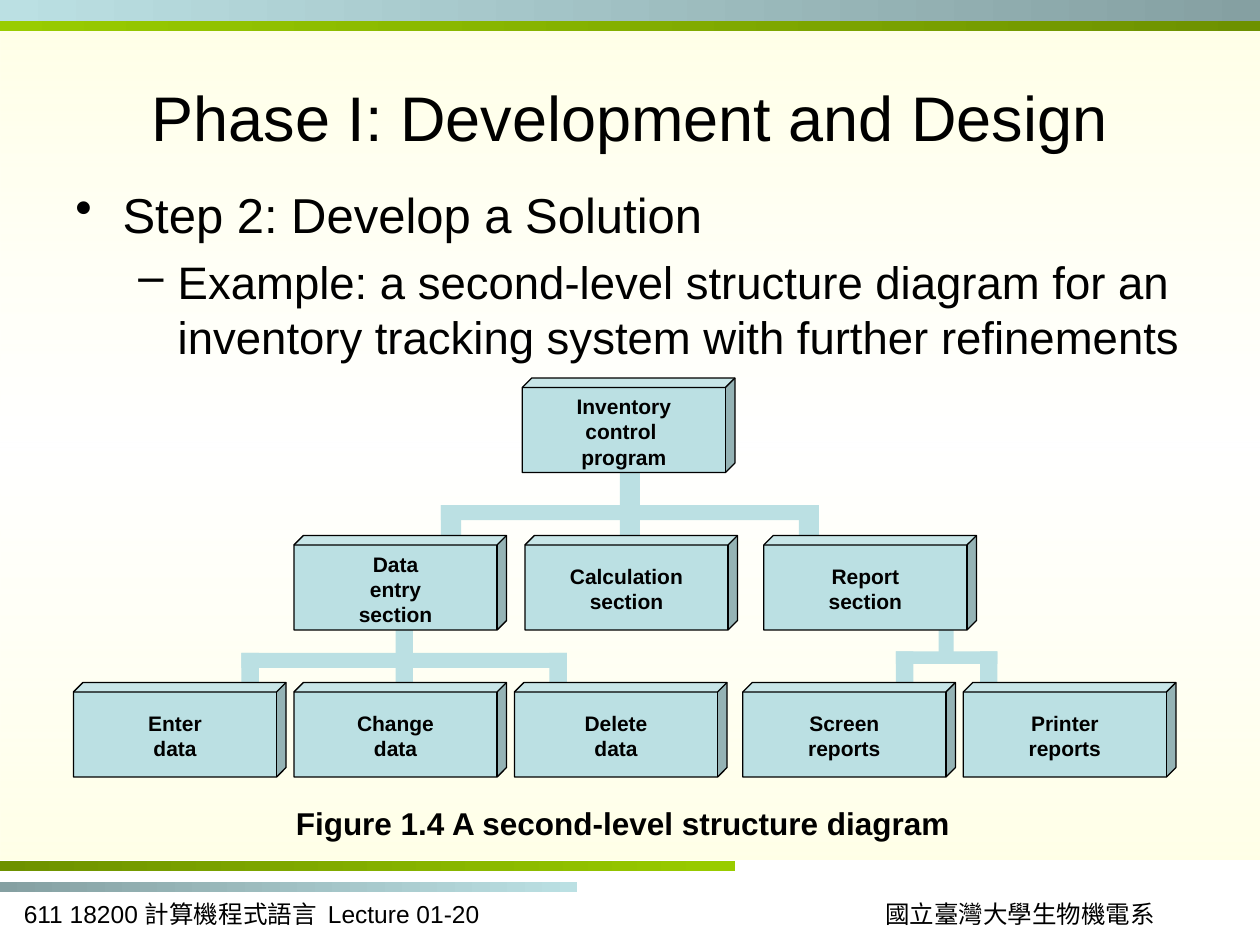
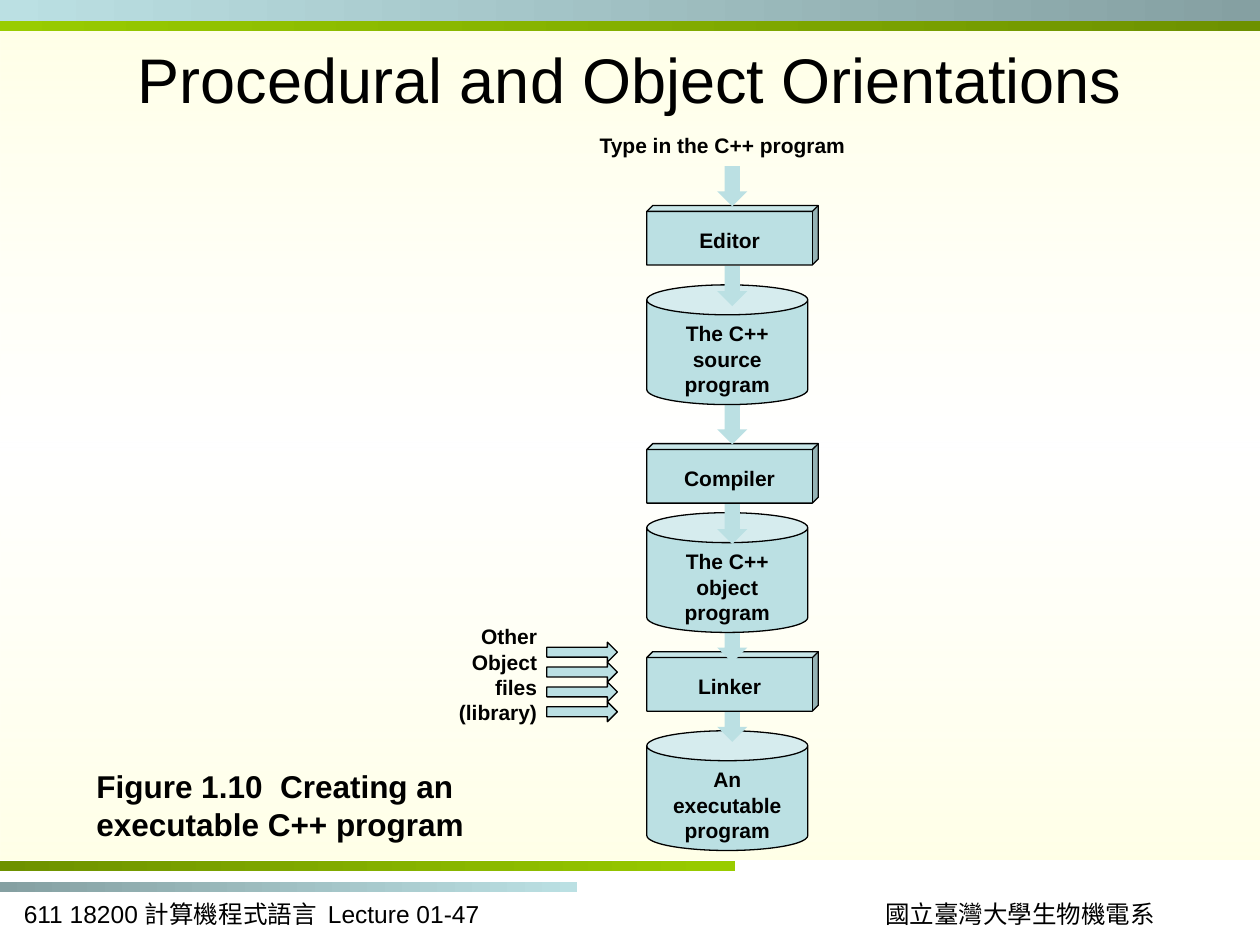
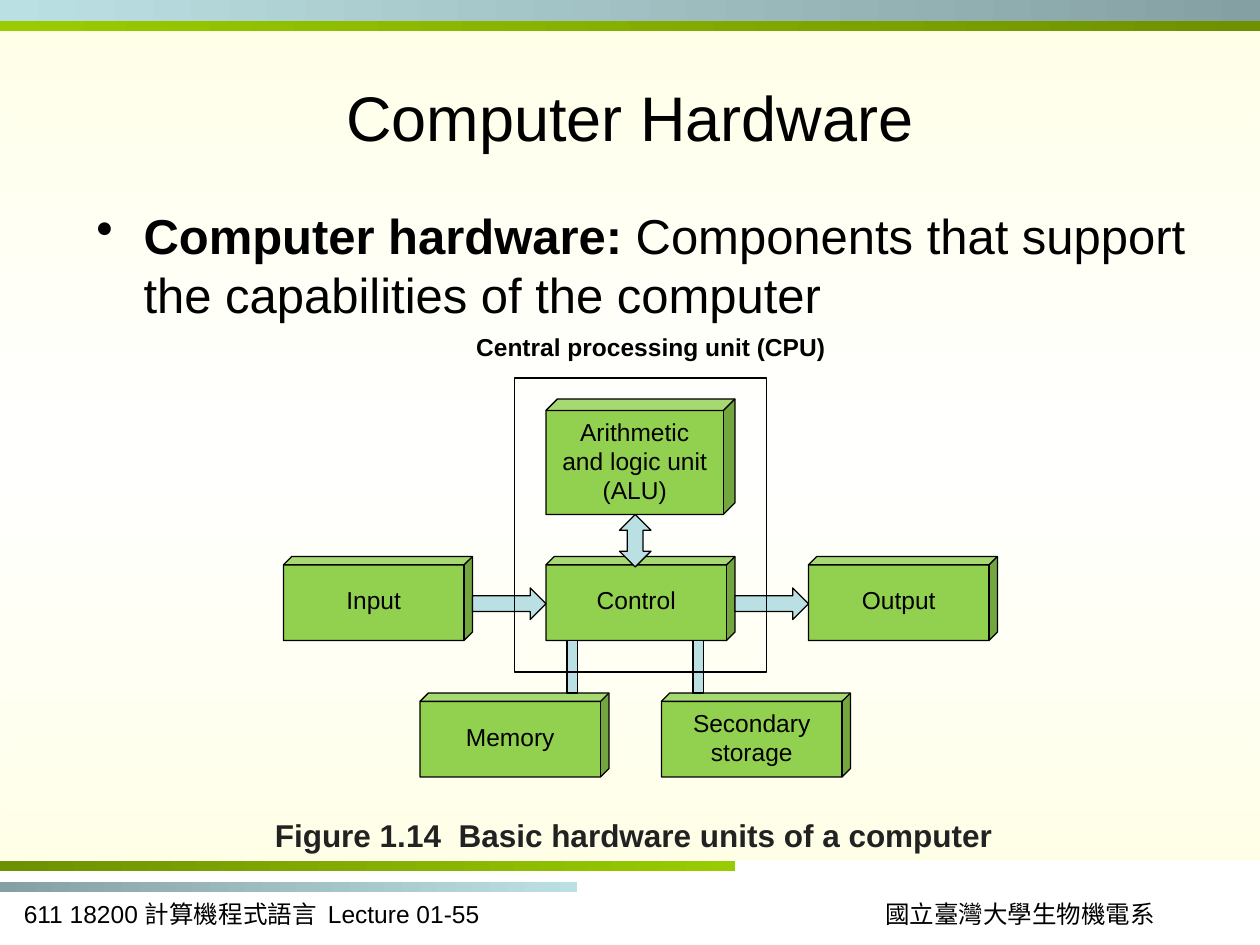
"""Build three lecture slides on program design, compiling and computer hardware."""
import lxml.etree
import pptx
import pptx.dml.color
import pptx.enum.shapes
import pptx.enum.text
import pptx.oxml.ns
import pptx.util

Pt = pptx.util.Pt
RGB = pptx.dml.color.RGBColor.from_string
qn = pptx.oxml.ns.qn
MSO = pptx.enum.shapes.MSO_SHAPE
ALIGN = pptx.enum.text.PP_ALIGN
ANCHOR = pptx.enum.text.MSO_ANCHOR

COLORS = {
    "black": "000000",
    "caption": "222222",
    "aqua": "BBE0E3",
    "lime": "99CC00",
    "green": "92D050",
    "cream": "FFFFCC",
    "pale": "FFFFD8",
}


def shape(s, kind, x, y, w, h, fill=None, line=True, adj=None):
    sp = s.shapes.add_shape(kind, Pt(x), Pt(y), Pt(w), Pt(h))
    sp.shadow.inherit = False
    if fill:
        sp.fill.solid()
        sp.fill.fore_color.rgb = RGB(COLORS[fill])
    else:
        sp.fill.background()
    if line:
        sp.line.color.rgb = RGB(COLORS["black"])
        sp.line.width = Pt(0.75)
    else:
        sp.line.fill.background()
    if adj:
        sp.adjustments[0] = adj
    return sp


def write(sp, text, size=12, bold=False, color="black", font="Arial", align=ALIGN.LEFT,
          anchor=ANCHOR.TOP, lead=0, wrap=True, bullets=()):
    """Fill a shape with one paragraph per line; ** toggles bold."""
    tf = sp.text_frame
    tf.word_wrap = wrap
    tf.vertical_anchor = anchor
    tf.margin_top = Pt(3.6 + lead)
    for i, line in enumerate(text.split("\n")):
        p = tf.paragraphs[0] if i == 0 else tf.add_paragraph()
        p.alignment = align
        run_size = size
        if bullets:
            mark, left, hang, before, run_size = bullets[i]
            p.space_before = Pt(before)
            pPr = p._p.get_or_add_pPr()
            pPr.set("marL", str(Pt(left)))
            pPr.set("indent", str(-Pt(hang)))
            lxml.etree.SubElement(pPr, qn("a:buChar")).set("char", mark)
        for j, part in enumerate(line.split("**")):
            if part:
                r = p.add_run()
                r.text = part
                r.font.size = Pt(run_size)
                r.font.bold = bold or j % 2 == 1
                r.font.name = font
                r.font.color.rgb = RGB(COLORS[color])


prs = pptx.Presentation()
prs.slide_width, prs.slide_height = Pt(720), Pt(540)

DARK = ("shade", 46275)
PANEL = [(0, "cream", ("alpha", 46000)), (50, "pale", ("alpha", 0)), (100, "cream", ("alpha", 46000))]
BANDS = [
    (11.8, 720, 6.2, 0, [(0, "lime", None), (100, "lime", DARK)]),
    (18, 720, 473, 270, PANEL),
    (504, 330, 6, 0, [(0, "aqua", DARK), (100, "aqua", None)]),
    (492, 420, 6, 0, [(0, "lime", DARK), (100, "lime", None)]),
    (0, 720, 12, 0, [(0, "aqua", None), (100, "aqua", DARK)]),
]
PAGES = [
    ("Phase I: Development and Design", 20, 21.6),
    ("Procedural and Object Orientations", 47, 0),
    ("Computer Hardware", 55, 21.6),
]

slides = []
for title, page, title_y in PAGES:
    s = prs.slides.add_slide(prs.slide_layouts[6])
    slides.append(s)
    for y, w, h, angle, stops in BANDS:
        sp = shape(s, MSO.RECTANGLE, 0, y, w, h, line=False)
        sp.fill.gradient()
        sp.fill.gradient_angle = angle
        stop_list = sp._element.spPr.find(".//" + qn("a:gsLst"))
        stop_list.clear()
        for pos, color, change in stops:
            gs = lxml.etree.SubElement(stop_list, qn("a:gs"))
            gs.set("pos", str(pos * 1000))
            clr = lxml.etree.SubElement(gs, qn("a:srgbClr"))
            clr.set("val", COLORS[color])
            if change:
                lxml.etree.SubElement(clr, qn("a:" + change[0])).set("val", str(change[1]))
    sp = s.shapes.add_textbox(Pt(6.5), Pt(510), Pt(342), Pt(24))
    write(sp, f"611 18200  計算機程式語言  Lecture 01-{page}".replace("18200  ", "18200 "), size=14)
    sp = s.shapes.add_textbox(Pt(498), Pt(510), Pt(170), Pt(24))
    write(sp, "國立臺灣大學生物機電系", size=14, font="Times New Roman", align=ALIGN.CENTER)
    sp = s.shapes.add_textbox(Pt(36), Pt(title_y), Pt(648), Pt(90))
    write(sp, title, size=36, align=ALIGN.CENTER, anchor=ANCHOR.MIDDLE)

BULLET = ("•", 27, 27, 2, 28)
DASH = ("–", 58.5, 22.5, 6, 26)

s = slides[0]
sp = s.shapes.add_textbox(Pt(36), Pt(102), Pt(648), Pt(108))
write(sp, "Step 2: Develop a Solution\nExample: a second-level structure diagram for an "
      "inventory tracking system with further refinements", bullets=[BULLET, DASH])
sp = s.shapes.add_textbox(Pt(162), Pt(456), Pt(432), Pt(29))
write(sp, "Figure 1.4 A second-level structure diagram", size=18, bold=True)

TREES = [
    (536.4, 347.8, 8.6, 30, 512, 372.2, 58, 7.2, 10),
    (226, 347.8, 10, 54, 138, 373, 186, 8.6, 10),
    (354.2, 264, 11.5, 54, 252, 288.7, 216, 8.6, 11.5),
]
for stem_x, stem_y, stem_w, stem_h, bar_x, bar_y, bar_w, bar_h, drop_w in TREES:
    shape(s, MSO.RECTANGLE, stem_x, stem_y, stem_w, stem_h, "aqua", line=False)
    for drop_x in (bar_x, bar_x + bar_w - drop_w):
        shape(s, MSO.RECTANGLE, drop_x, bar_y, drop_w, 29, "aqua", line=False)
    shape(s, MSO.RECTANGLE, bar_x, bar_y, bar_w, bar_h, "aqua", line=False)

SECTIONS = [
    (298.5, 216, "Inventory\ncontrol \nprogram"),
    (168, 306, "Data\nentry\nsection"),
    (300, 306, "Calculation\nsection"),
    (436.5, 306, "Report\nsection"),
    (42, 390, "Enter\ndata"),
    (168, 390, "Change\ndata"),
    (294, 390, "Delete\ndata"),
    (424.5, 390, "Screen\nreports"),
    (550.5, 390, "Printer\nreports"),
]
for x, y, label in SECTIONS:
    sp = shape(s, MSO.CUBE, x, y, 121.5, 54, "aqua", adj=0.1)
    write(sp, label, bold=True, align=ALIGN.CENTER, lead=7 if label.count("\n") == 1 else 0)

s = slides[1]
sp = s.shapes.add_textbox(Pt(48), Pt(435), Pt(270), Pt(51))
write(sp, "Figure 1.10  Creating an executable C++ program", size=18, bold=True)

STAGES = [
    ("An\nexecutable\nprogram", 417.6, 401, "Linker", 372.4, 355.7),
    ("The C++\nobject program", 293, 288, "Compiler", 253.5, 231),
    ("The C++\nsource program", 162.8, 152, "Editor", 117.4, 95),
]
for product, can_y, out_y, tool, cube_y, in_y in STAGES:
    sp = shape(s, MSO.CAN, 369.6, can_y, 92, 68.4, "aqua")
    write(sp, product, bold=True, align=ALIGN.CENTER)
    shape(s, MSO.DOWN_ARROW, 409.8, out_y, 17.3, 23, "aqua", line=False)
    sp = shape(s, MSO.CUBE, 369.6, cube_y, 98, 34, "aqua", adj=0.1)
    write(sp, tool, bold=True, align=ALIGN.CENTER, lead=5.5)
    shape(s, MSO.DOWN_ARROW, 409.8, in_y, 17.3, 23, "aqua", line=False)

sp = s.shapes.add_textbox(Pt(335.5), Pt(72), Pt(156), Pt(21))
write(sp, "Type in the C++ program", bold=True, wrap=False)
for i in range(4):
    shape(s, MSO.RIGHT_ARROW, 312.5, 367 + 11.35 * i, 40.3, 11.4, "aqua")
sp = s.shapes.add_textbox(Pt(254), Pt(353), Pt(60), Pt(63))
write(sp, "Other\nObject\nfiles\n(library)", bold=True, align=ALIGN.RIGHT, wrap=False)

s = slides[2]
sp = s.shapes.add_textbox(Pt(48), Pt(114), Pt(642), Pt(78))
write(sp, "**Computer hardware: **Components that support the capabilities of the computer",
      bullets=[BULLET])
sp = s.shapes.add_textbox(Pt(150), Pt(463), Pt(438), Pt(29))
write(sp, "Figure 1.14  Basic hardware units of a computer", size=18, bold=True, color="caption")
sp = s.shapes.add_textbox(Pt(265), Pt(186), Pt(215), Pt(24))
write(sp, "Central processing unit (CPU)", size=14, bold=True, wrap=False)

UNITS = [
    (312, 228, 66, 0, "Arithmetic and logic unit (ALU)"),
    (312, 318, 48, 8, "Control"),
    (462, 318, 48, 8, "Output"),
    (162, 318, 48, 8, "Input"),
    (240, 396, 48, 8, "Memory"),
    (378, 396, 48, 0, "Secondary\nstorage"),
]
for x, y, h, lead, label in UNITS:
    sp = shape(s, MSO.CUBE, x, y, 108, h, "green", adj=0.1)
    write(sp, label, size=14, align=ALIGN.CENTER, lead=lead)

shape(s, MSO.UP_DOWN_ARROW, 354, 294, 18, 30, "aqua")
for x in (270, 420):
    shape(s, MSO.RIGHT_ARROW, x, 336, 42, 18, "aqua")
for x in (324, 396):
    shape(s, MSO.FLOWCHART_PROCESS, x, 366, 6, 30, "aqua")
shape(s, MSO.RECTANGLE, 294, 216, 144, 168)

prs.save("out.pptx")
